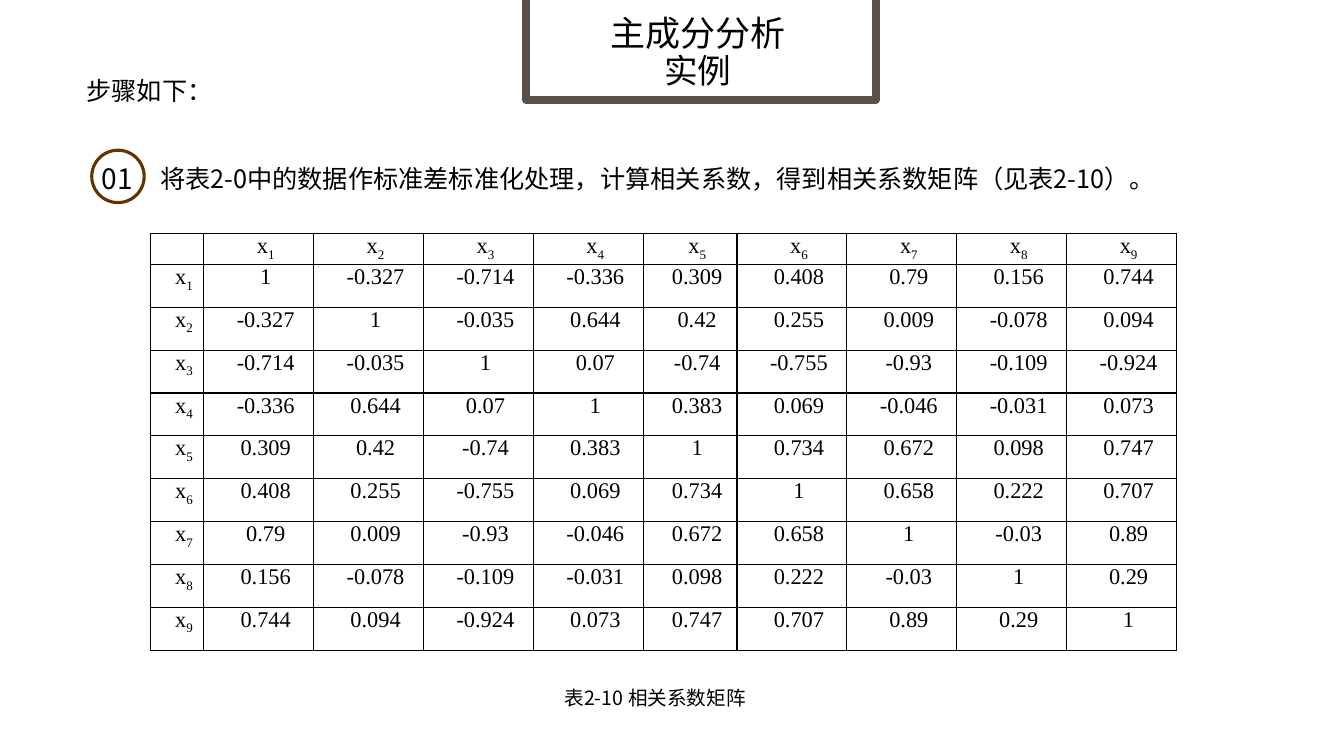
from lxml import etree
from pptx import Presentation
from pptx.dml.color import RGBColor as RGB
from pptx.enum.shapes import MSO_SHAPE as Shape
from pptx.enum.text import MSO_ANCHOR as Anchor, MSO_AUTO_SIZE as Auto, PP_ALIGN as Align
from pptx.oxml.ns import qn
from pptx.util import Inches, Pt

# Content
TITLE = [("主成分分析", 25), ("实例", 24)]
INTRO = "步骤如下："
NUM = "01"
STEP = "将表2-0中的数据作标准差标准化处理，计算相关系数，得到相关系数矩阵（见表2-10）。"
NOTE = "表2-10 相关系数矩阵"
# Lower half of the symmetric correlation matrix
HALF = [
    ["1"],
    ["-0.327", "1"],
    ["-0.714", "-0.035", "1"],
    ["-0.336", "0.644", "0.07", "1"],
    ["0.309", "0.42", "-0.74", "0.383", "1"],
    ["0.408", "0.255", "-0.755", "0.069", "0.734", "1"],
    ["0.79", "0.009", "-0.93", "-0.046", "0.672", "0.658", "1"],
    ["0.156", "-0.078", "-0.109", "-0.031", "0.098", "0.222", "-0.03", "1"],
    ["0.744", "0.094", "-0.924", "0.073", "0.747", "0.707", "0.89", "0.29", "1"],
]
COLORS = {"text": "000000", "paper": "FFFFFF", "frame": "5B5047", "ring": "663300"}
SANS, SERIF = "Noto Sans CJK SC", "Times New Roman"
COLS = [0.53] + [1.09] * 4 + [0.93] + [1.09] * 4
HEAD, HIGH = 0.3, 4.13


def write(para, text, size=18, font=SANS, sub=False):
    run = para.add_run()
    run.text = text
    run.font.size = Pt(size)
    run.font.name = font
    run.font.color.rgb = RGB.from_string(COLORS["text"])
    props = run.font._element
    etree.SubElement(props, qn("a:ea")).set("typeface", font)
    if sub:
        props.set("baseline", "-25000")


def label(text, box, size=18, wrap=True):
    frame = slide.shapes.add_textbox(*map(Inches, box)).text_frame
    frame.word_wrap = wrap
    frame.auto_size = Auto.SHAPE_TO_FIT_TEXT
    write(frame.paragraphs[0], text, size)


def outline(kind, box, color, width):
    shape = slide.shapes.add_shape(kind, *map(Inches, box))
    shape.shadow.inherit = False
    shape.fill.solid()
    shape.fill.fore_color.rgb = RGB.from_string(COLORS["paper"])
    shape.line.color.rgb = RGB.from_string(COLORS[color])
    shape.line.width = Pt(width)


def border(cell):
    props = cell._tc.get_or_add_tcPr()
    for side in ("lnL", "lnR", "lnT", "lnB"):
        line = etree.SubElement(props, qn(f"a:{side}"), w=str(Pt(1)))
        fill = etree.SubElement(line, qn("a:solidFill"))
        etree.SubElement(fill, qn("a:srgbClr"), val=COLORS["text"])


prs = Presentation()
prs.slide_width, prs.slide_height = Inches(13.33), Inches(7.5)
slide = prs.slides.add_slide(prs.slide_layouts[5])

# Title in its frame
label(INTRO, (0.76, 0.7, 1.46, 0.4), wrap=False)
outline(Shape.RECTANGLE, (5.22, -0.72, 3.47, 1.71), "frame", 5.5)
title = slide.shapes.title
title.left, title.top, title.width, title.height = map(Inches, (5.31, 0.03, 3.22, 1))
slide.shapes._spTree.append(title._element)
frame = title.text_frame
frame.auto_size = Auto.NONE
frame.vertical_anchor = Anchor.MIDDLE
for i, (text, size) in enumerate(TITLE):
    para = frame.add_paragraph() if i else frame.paragraphs[0]
    para.alignment = Align.CENTER
    para.line_spacing = 0.9
    para.space_before = Pt(0)
    write(para, text, size)

# Numbered step
outline(Shape.FLOWCHART_CONNECTOR, (0.91, 1.49, 0.52, 0.52), "ring", 2.25)
label(NUM, (0.91, 1.55, 0.58, 0.44), 20)
label(STEP, (1.49, 1.57, 10.08, 0.4))

# Correlation table
count = len(HALF) + 1
box = (1.49, 2.32, sum(COLS), HIGH)
table = slide.shapes.add_table(count, count, *map(Inches, box)).table
table.first_row = table.horz_banding = False
for i, width in enumerate(COLS):
    table.columns[i].width = Inches(width)
    table.rows[i].height = Inches((HIGH - HEAD) / (count - 1) if i else HEAD)
for r in range(count):
    for c in range(count):
        cell = table.cell(r, c)
        border(cell)
        cell.fill.background()
        cell.margin_left = cell.margin_right = Inches(0.09)
        cell.margin_top = cell.margin_bottom = 0
        if r == c == 0:
            continue
        para = cell.text_frame.paragraphs[0]
        para.alignment = Align.CENTER
        para._p.get_or_add_pPr().set("indent", str(Inches(0.14)))
        if r and c:
            write(para, HALF[max(r, c) - 1][min(r, c) - 1], 16, SERIF)
        else:
            write(para, "x", 16, SERIF)
            write(para, str(r + c), 16, SERIF, sub=True)

# Caption
label(NOTE, (5.5, 6.76, 2.07, 0.34), 14)

prs.save("out.pptx")
